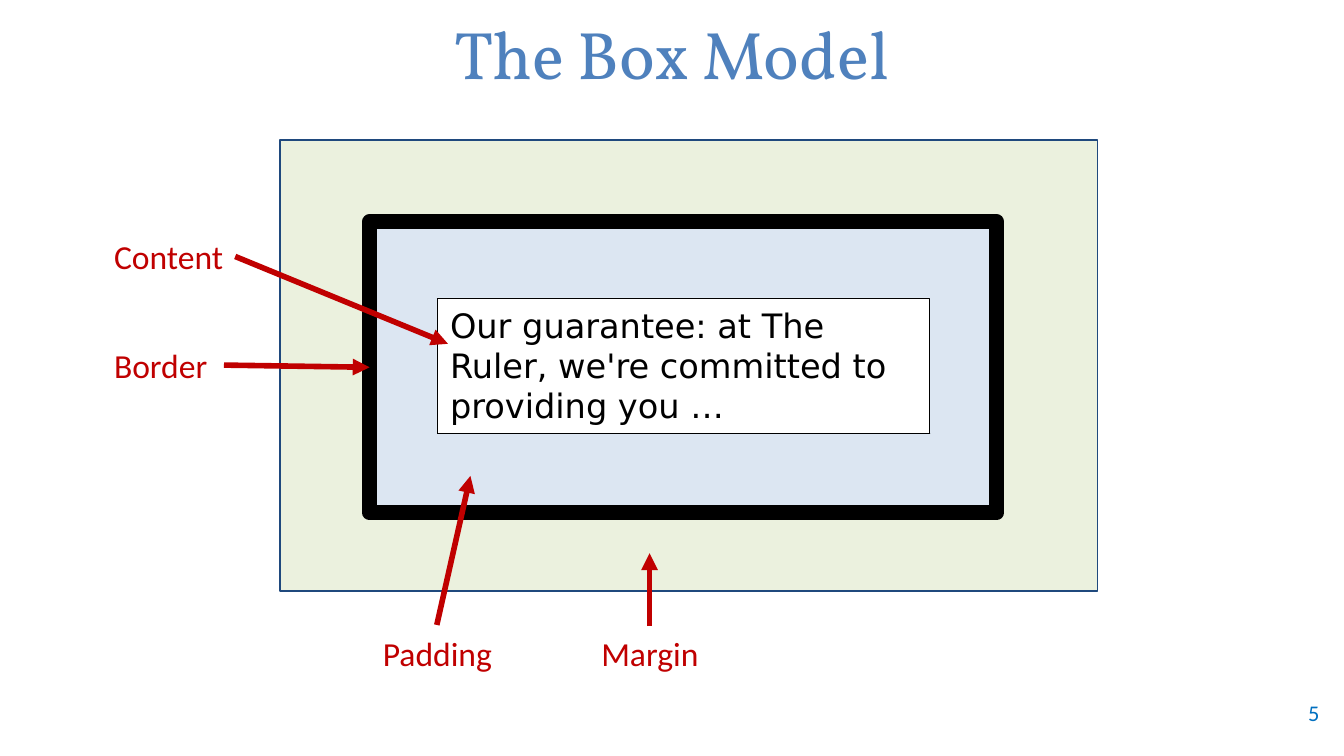
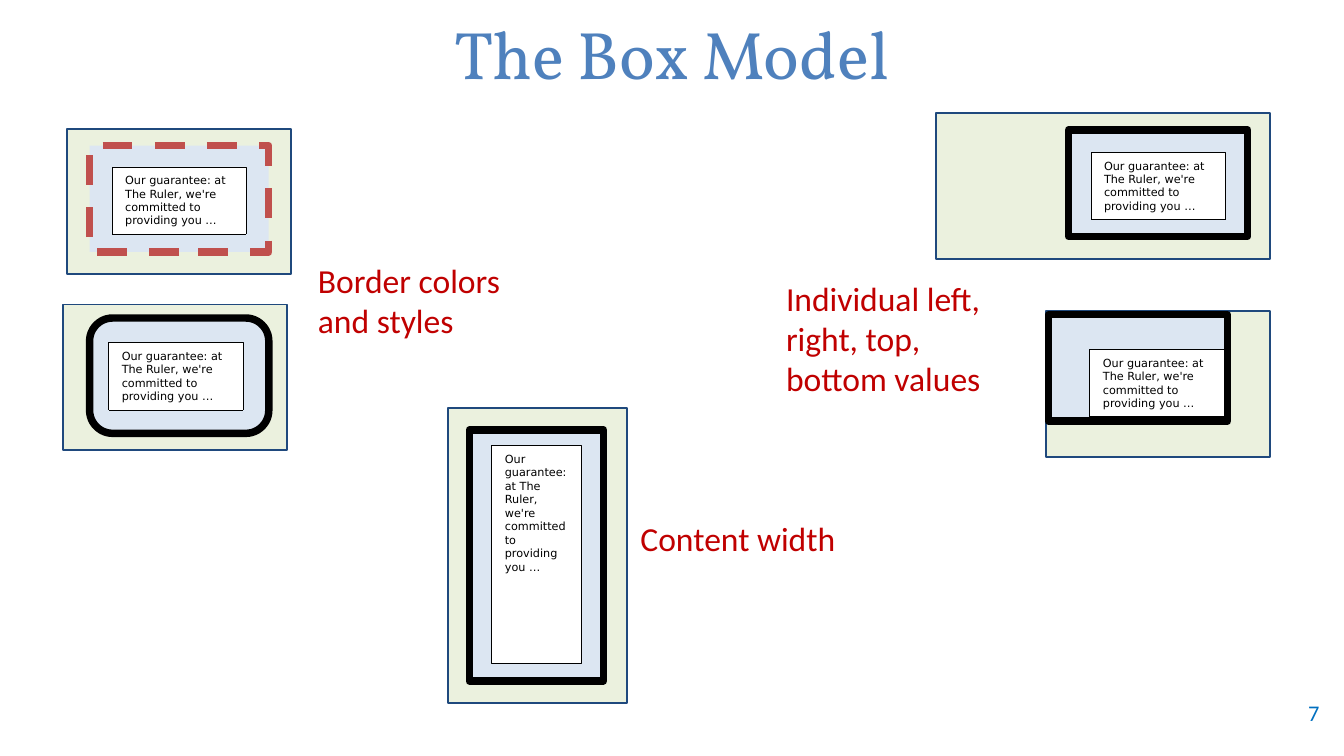
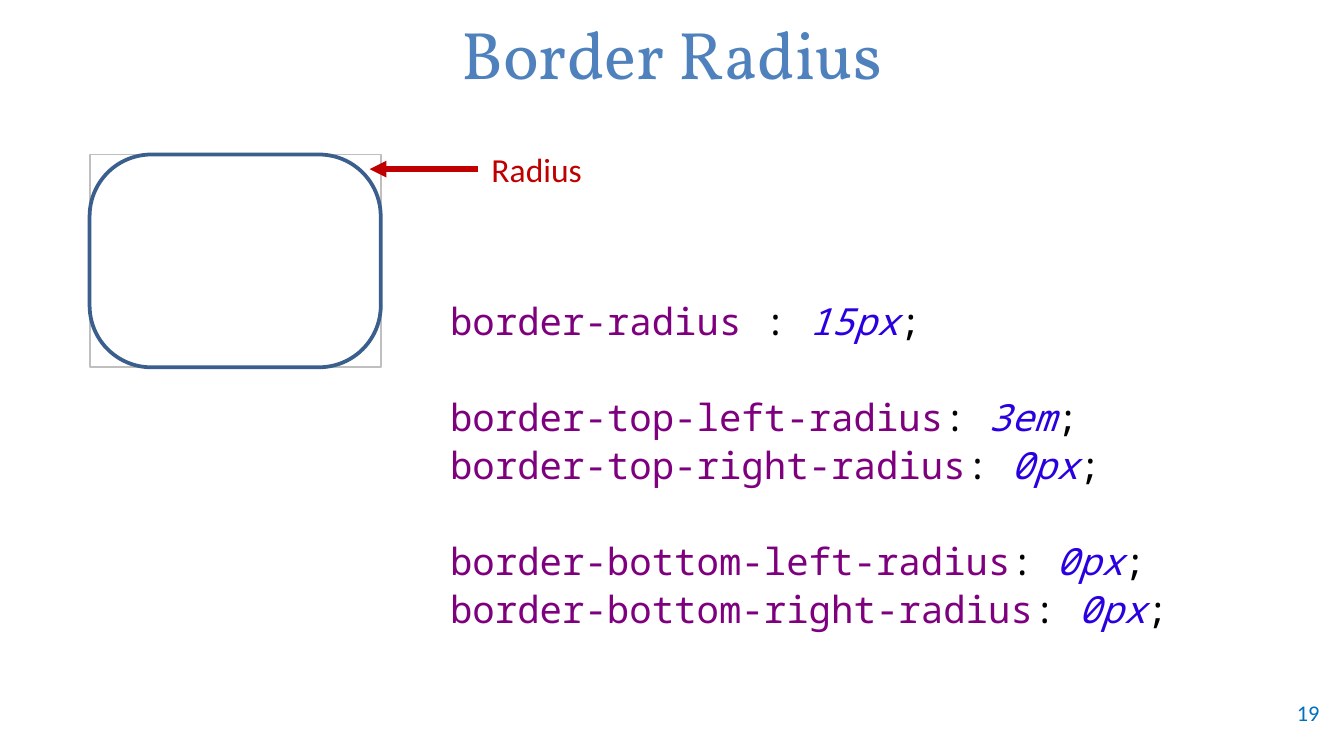
from pptx import Presentation
from pptx import util as u
from pptx.dml.color import RGBColor
from pptx.enum import dml, shapes, text
from pptx.oxml.ns import qn
from lxml import etree

HUES = dict(title="4F81BD", page="0070C0", note="C00000", ink="000000",
            paper="FFFFFF", margin="EBF1DE", edge="1F497D", pad="DCE6F2",
            dash="C0504D", guide="BFBFBF", curve="3A5F8C",
            prop="7F007F", value="2A00E1")
CELL = u.Inches(1) / 12
SIZE = (120, 67.5)
TITLE = (1, 0.7, 118, 8)
PAGE = (111, 61.8, 8, 3.6)
ROW = 4.8

QUOTE = "Our guarantee: at The Ruler, we're committed to providing you …"

BIG = dict(margin=(25, 12.5, 73, 40.3), border=(33, 19.8, 56, 26),
           body=(39, 26.6, 44, 12.1), weight=8, size=18)
PARTS = [
    ("Content", (9, 20.5), (21, 22.9), (40, 30.7)),
    ("Border", (9, 30.2), (20, 32.6), None),
    ("Padding", (33, 55.9), (39, 55.8), (42, 42.5)),
    ("Margin", (52.5, 55.9), (58, 55.9), (58, 49.4)),
]

SMALL = [
    dict(margin=(6, 11.5, 20, 13), border=(8, 13, 16, 9.5),
         body=(10, 14.9, 12, 6), hue="dash", dash=dml.MSO_LINE.DASH),
    dict(margin=(5.6, 27.2, 20, 13), border=(8, 28.4, 16, 10.3),
         body=(9.7, 30.6, 12, 6), bend=0.2),
    dict(margin=(83.6, 10.1, 29.8, 13), border=(95.4, 11.6, 16, 9.5),
         body=(97.4, 13.6, 12, 6)),
    dict(margin=(93.4, 27.8, 20, 13), border=(93.6, 28.1, 16, 9.5),
         body=(97.3, 31.2, 12, 6)),
    dict(margin=(40, 36.4, 16, 26.4), border=(41.9, 38.4, 12, 22.4),
         body=(43.9, 39.8, 8, 19.4)),
]
NOTES = [
    ("Border colors and styles", (27.2, 22.6, 23.2, 8.5)),
    ("Individual left, right, top, bottom values", (69, 24.2, 23.2, 12.1)),
    ("Content width", (56, 45.7, 23.2, ROW)),
]

FRAME = (8, 13.8, 26, 19)
RADIUS = ("Radius", (42.7, 12.7, 18.8, ROW), (33, 15.1))
CODE = (39, 25.8, 66.8, 31.4)
RULES = [
    [("border-radius ", "15px")],
    [("border-top-left-radius", "3em"), ("border-top-right-radius", "0px")],
    [("border-bottom-left-radius", "0px"),
     ("border-bottom-right-radius", "0px")],
]
GAP = 25.7


def grid(*cells):
    return [u.Emu(round(c * CELL)) for c in cells]


def tint(name):
    return RGBColor.from_string(HUES[name])


def style(run, size, font, hue, slant=False):
    run.font.size = u.Pt(size)
    run.font.name = font
    run.font.color.rgb = tint(hue)
    run.font.italic = slant


def write(host, words, size=18, font="Calibri", hue="note",
          align="LEFT", anchor="TOP"):
    frame = host.text_frame
    frame.word_wrap = True
    frame.vertical_anchor = getattr(text.MSO_ANCHOR, anchor)
    para = frame.paragraphs[0]
    para.alignment = getattr(text.PP_ALIGN, align)
    run = para.add_run()
    run.text = words
    style(run, size, font, hue)
    return host


def label(slide, words, at, **form):
    return write(slide.shapes.add_textbox(*grid(*at)), words, **form)


def box(slide, at, fill=None, line="ink", weight=1, dash=None, bend=None):
    kind = shapes.MSO_SHAPE
    item = slide.shapes.add_shape(
        kind.ROUNDED_RECTANGLE if bend else kind.RECTANGLE, *grid(*at))
    item.shadow.inherit = False
    if bend:
        item.adjustments[0] = bend
    if fill:
        item.fill.solid()
        item.fill.fore_color.rgb = tint(fill)
    else:
        item.fill.background()
    item.line.color.rgb = tint(line)
    item.line.width = u.Pt(weight)
    if dash:
        item.line.dash_style = dash
    return item


def model(slide, margin, border, body, weight=4, size=6, hue="ink",
          dash=None, bend=None):
    box(slide, margin, "margin", "edge")
    rim = box(slide, border, "pad", hue, weight, dash, bend)
    core = box(slide, body, "paper", "ink", 0.25, dml.MSO_LINE.ROUND_DOT)
    write(core, QUOTE, size=size, font="DejaVu Sans", hue="ink")
    return rim


def arrow(slide, start, end):
    line = slide.shapes.add_connector(
        shapes.MSO_CONNECTOR.STRAIGHT, *grid(*start, *end))
    line.line.color.rgb = tint("note")
    line.line.width = u.Pt(3)
    etree.SubElement(line.line._get_or_add_ln(), qn("a:tailEnd"),
                     type="triangle")
    etree.SubElement(line._element.spPr, qn("a:effectLst"))
    return line


def page(deck, title, number):
    slide = deck.slides.add_slide(deck.slide_layouts[6])
    label(slide, title, TITLE, size=36, font="Vollkorn", hue="title",
          align="CENTER", anchor="MIDDLE")
    label(slide, str(number), PAGE, size=12, hue="page",
          align="RIGHT", anchor="MIDDLE")
    return slide


def anatomy(deck):
    slide = page(deck, "The Box Model", 5)
    rim = model(slide, **BIG)
    for words, spot, start, end in PARTS:
        label(slide, words, (*spot, 15, ROW))
        line = arrow(slide, start, end or start)
        if end is None:
            line.end_connect(rim, 1)


def gallery(deck):
    slide = page(deck, "The Box Model", 7)
    for case in SMALL:
        model(slide, **case)
    for words, at in NOTES:
        label(slide, words, at)


def rounding(deck):
    slide = page(deck, "Border Radius", 19)
    box(slide, FRAME, line="guide")
    box(slide, FRAME, line="curve", weight=2, bend=0.29)
    words, at, tip = RADIUS
    note = label(slide, words, at)
    arrow(slide, tip, tip).begin_connect(note, 1)
    frame = slide.shapes.add_textbox(*grid(*CODE)).text_frame
    frame.word_wrap = True
    para = None
    for group in RULES:
        for row, (prop, value) in enumerate(group):
            first = para is None
            para = frame.paragraphs[0] if first else frame.add_paragraph()
            para.line_spacing = 1.07
            if row == 0 and not first:
                para.space_before = u.Pt(GAP)
            for part, hue in ((prop, "prop"), (": ", "ink"),
                              (value, "value"), (";", "ink")):
                run = para.add_run()
                run.text = part
                style(run, 20, "Noto Sans Mono", hue, hue == "value")


def main():
    deck = Presentation()
    deck.slide_width, deck.slide_height = grid(*SIZE)
    for build in (anatomy, gallery, rounding):
        build(deck)
    deck.save("out.pptx")


if __name__ == "__main__":
    main()
